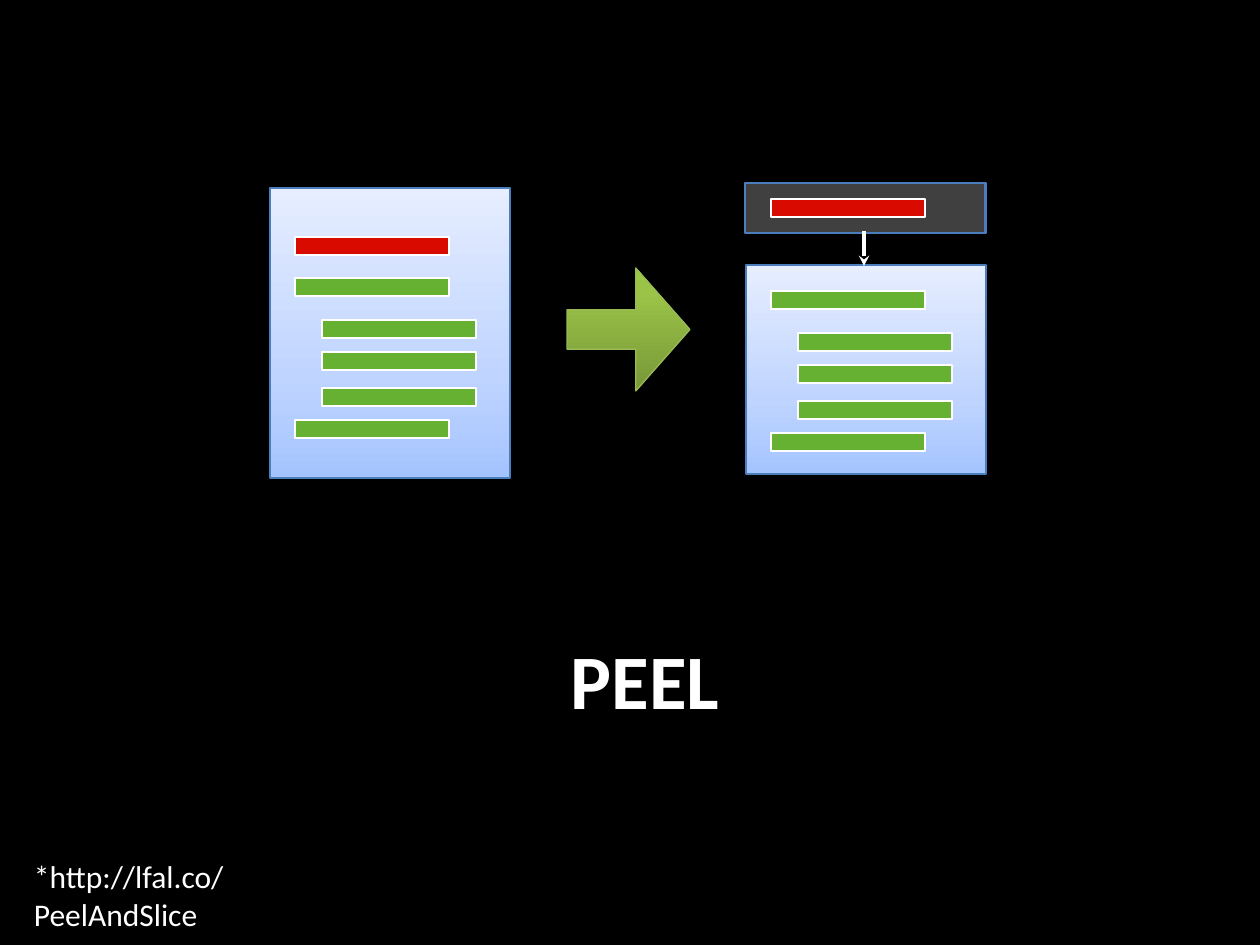
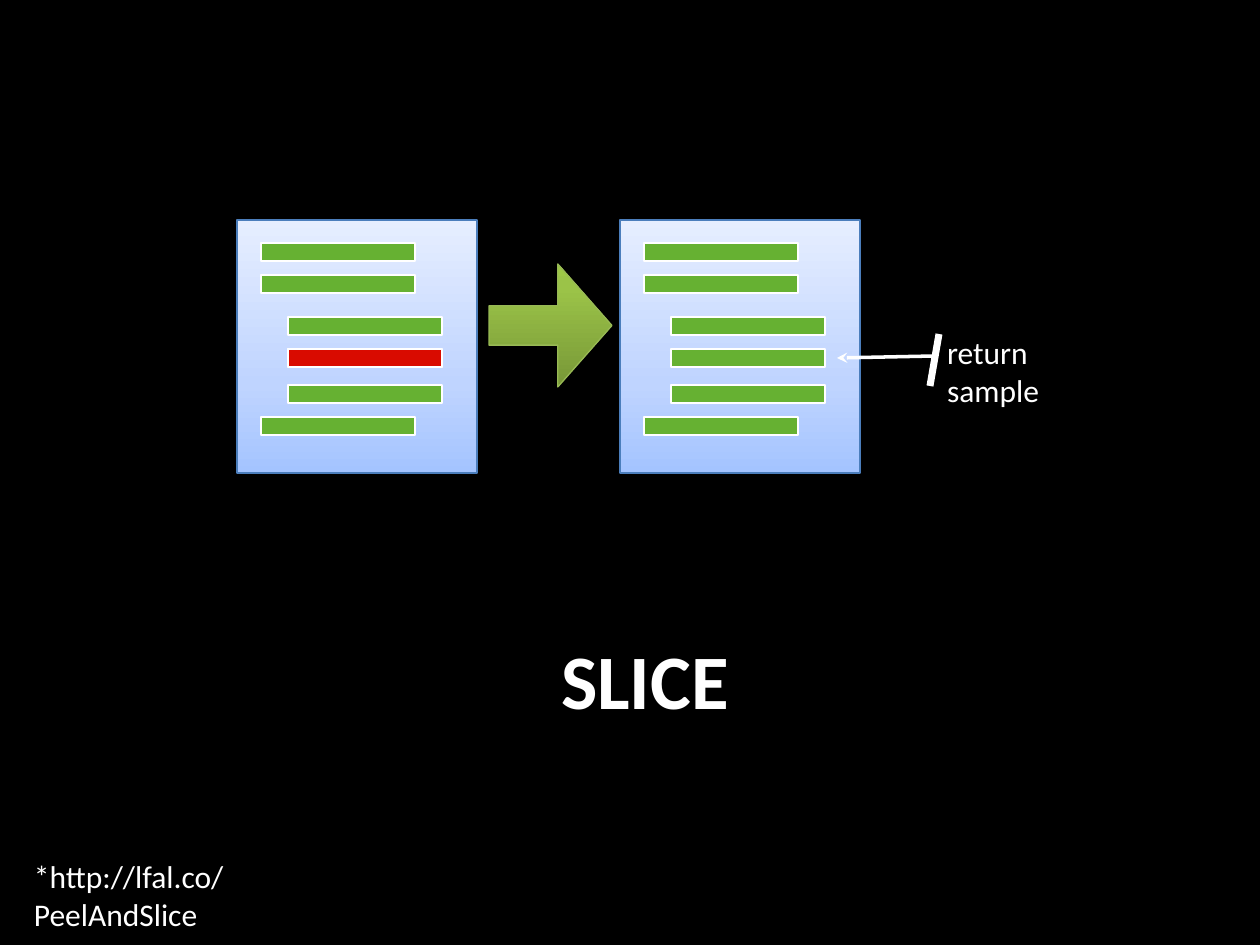
from copy import deepcopy

from lxml import etree
from pptx import Presentation
from pptx import util as u
from pptx.dml.color import RGBColor
from pptx.enum import shapes, text
from pptx.oxml.ns import qn

# Content: boxes are (left, top, width, height) in px
SLIDES = [
    {
        "title": "PEEL",
        "panels": [((746, 183, 240, 50), "under"), ((270, 188, 240, 290), "page"),
                   ((746, 265, 240, 209), "page"), ((745, 183, 240, 50), "dark")],
        "code_blocks": [(295, 278), (771, 291)],
        "single_lines": [(295, 237, "red"), (771, 199, "red")],
        "big_arrow": (567, 268),
        "links": [((864, 231), (864, 266), 2, True)],
        "labels": [],
    },
    {
        "title": "SLICE",
        "panels": [((237, 220, 240, 253), "page"), ((620, 220, 240, 253), "page")],
        "code_blocks": [(261, 275), (644, 275)],
        "single_lines": [(261, 243, "green"), (644, 243, "green"), (288, 349, "red")],
        "big_arrow": (489, 264),
        "links": [((935, 356), (837, 358), 2, True), ((939, 334), (930, 386), 4, False)],
        "labels": [("return sample", (942, 333, 184, 38), (5, 0, 5, 0))],
    },
]
FOOTNOTE = ("*http://lfal.co/PeelAndSlice", (21, 851, 363, 50), (13, 6, 13, 6))
TITLE_BOX = (73, 626, 1144, 106)

# Shared style
FONT = "Calibri"
COLOURS = {"black": "000000", "white": "FFFFFF", "red": "D90B00", "green": "66B132",
           "dark": "404040", "panel_edge": "4B7EBC", "arrow_edge": "98B955"}
GRADIENTS = {  # bottom to top
    "page": [(0, "A4C4FF"), (35, "BFD4FF"), (100, "E6EEFF")],
    "under": [(0, "2F5F99"), (80, "3D7CC7"), (100, "3A7CCB")],
    "arrow": [(0, "779737"), (80, "9BC348"), (100, "9DC746")],
}
LINE_SIZE = (154, 18)
CODE_BLOCK = [(0, 0), (27, 42), (27, 74), (27, 110), (0, 142)]  # indent, drop
ARROW_SIZE = (123, 123)
PX = u.Inches(1) / 126


def px(*lengths):
    return [u.Emu(round(length * PX)) for length in lengths]


def colour(name):
    return RGBColor.from_string(COLOURS[name])


def fill_shape(shape, name):
    if name not in GRADIENTS:
        shape.fill.solid()
        shape.fill.fore_color.rgb = colour(name)
        return
    shape.fill.gradient()
    shape.fill.gradient_angle = 90
    stops = shape._element.spPr.find(".//" + qn("a:gsLst"))
    stops.insert(1, deepcopy(stops[0]))
    for stop, (percent, value) in zip(shape.fill.gradient_stops, GRADIENTS[name]):
        stop.position = percent / 100
        stop.color.rgb = RGBColor.from_string(value)


def add_block(page, kind, box, fill, edge, width):
    shape = page.shapes.add_shape(kind, *px(*box))
    shape.shadow.inherit = False
    fill_shape(shape, fill)
    shape.line.color.rgb = colour(edge)
    shape.line.width = u.Pt(width)
    return shape


def add_code_line(page, left, top, name):
    add_block(page, shapes.MSO_SHAPE.RECTANGLE, (left, top, *LINE_SIZE), name, "white", 1)


def add_link(page, start, end, width, pointed):
    link = page.shapes.add_connector(shapes.MSO_CONNECTOR.STRAIGHT, *px(*start, *end))
    link.line.color.rgb = colour("white")
    link.line.width = u.Pt(width)
    if pointed:
        etree.SubElement(link.line._get_or_add_ln(), qn("a:tailEnd"), type="stealth")
    etree.SubElement(link._element.spPr, qn("a:effectLst"))


def set_text(shape, words, size, bold=False):
    shape.text_frame.text = words
    para = shape.text_frame.paragraphs[0]
    para.font.name, para.font.size, para.font.bold = FONT, u.Pt(size), bold
    para.font.color.rgb = colour("white")
    return para


def add_label(page, words, box, margins):
    label = page.shapes.add_textbox(*px(*box))
    frame = label.text_frame
    frame.word_wrap = True
    frame.margin_left, frame.margin_top, frame.margin_right, frame.margin_bottom = px(*margins)
    set_text(label, words, 18)


def build_page(deck, content):
    page = deck.slides.add_slide(deck.slide_layouts.get_by_name("Title Only"))

    # Title
    title = page.shapes.title
    title.left, title.top, title.width, title.height = px(*TITLE_BOX)
    set_text(title, content["title"], 44, True).alignment = text.PP_ALIGN.CENTER

    # Documents and their lines of code
    for box, fill in content["panels"]:
        add_block(page, shapes.MSO_SHAPE.RECTANGLE, box, fill, "panel_edge", 0.75)
    for left, top in content["code_blocks"]:
        for indent, drop in CODE_BLOCK:
            add_code_line(page, left + indent, top + drop, "green")
    for left, top, name in content["single_lines"]:
        add_code_line(page, left, top, name)

    # Arrows, labels and footnote
    arrow = add_block(page, shapes.MSO_SHAPE.RIGHT_ARROW,
                      (*content["big_arrow"], *ARROW_SIZE), "arrow", "arrow_edge", 0.75)
    arrow.adjustments[0], arrow.adjustments[1] = 0.32, 0.44
    for link in content["links"]:
        add_link(page, *link)
    for label in [*content["labels"], FOOTNOTE]:
        add_label(page, *label)


def main():
    deck = Presentation()
    deck.slide_width, deck.slide_height = u.Inches(10), u.Inches(7.5)
    backdrop = deck.slide_master.background.fill
    backdrop.solid()
    backdrop.fore_color.rgb = colour("black")
    for content in SLIDES:
        build_page(deck, content)
    deck.save("out.pptx")


if __name__ == "__main__":
    main()
